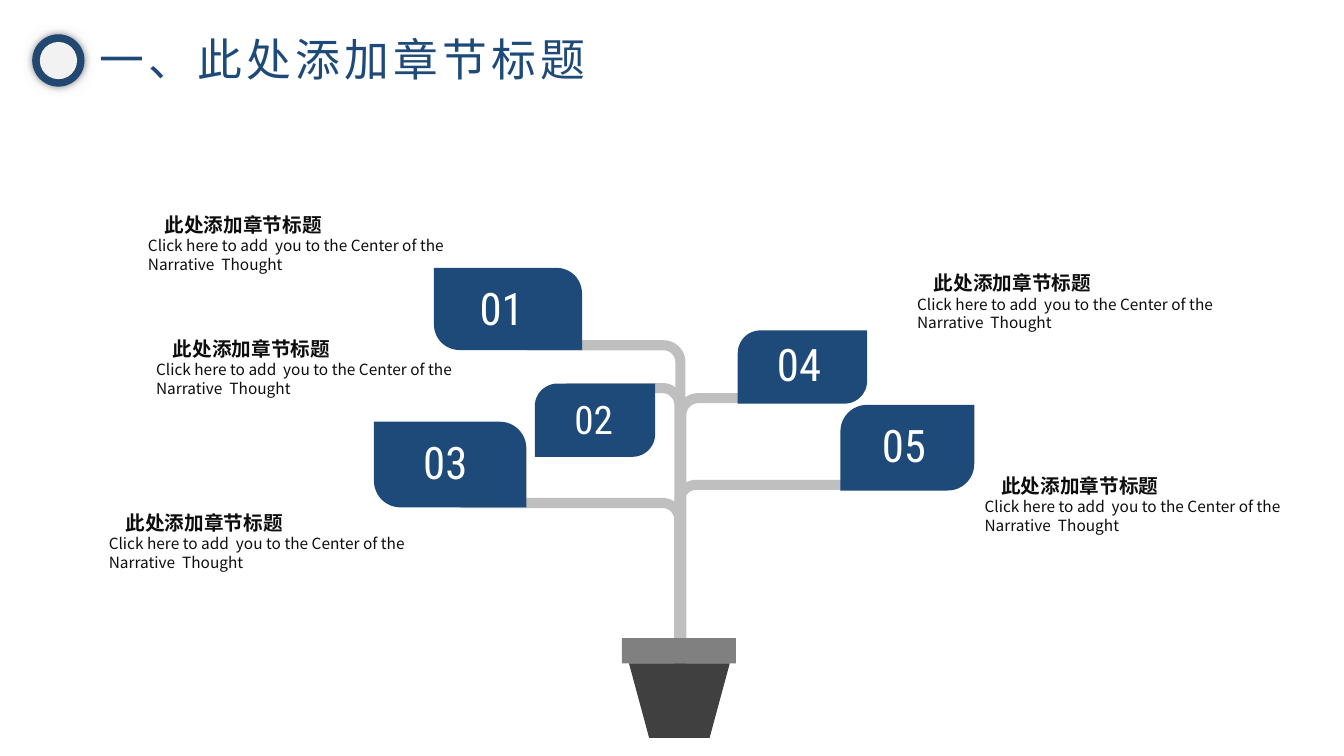
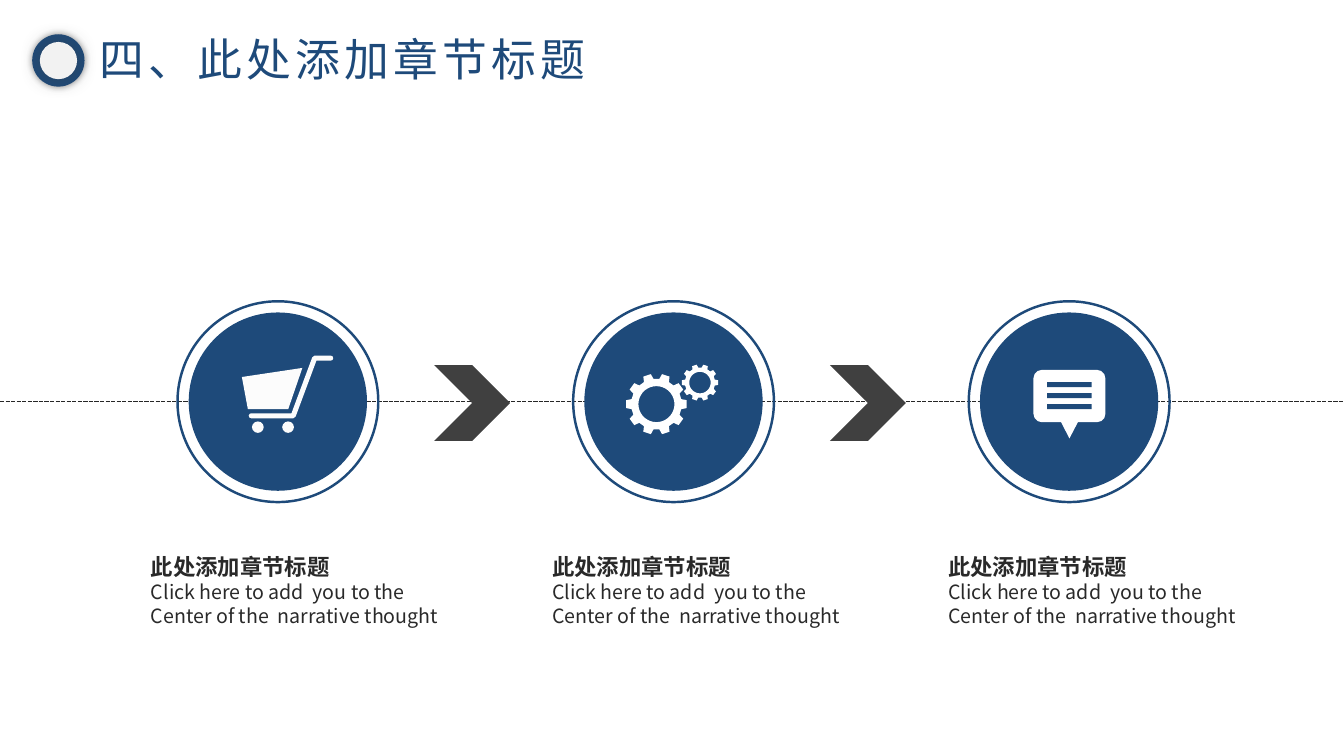
from math import cos, pi, radians, sin

from lxml import etree
from pptx import Presentation
from pptx.dml.color import RGBColor
from pptx.enum.dml import MSO_LINE
from pptx.enum.shapes import MSO_CONNECTOR, MSO_SHAPE
from pptx.oxml.ns import qn
from pptx.util import Pt

OVAL, RECT = MSO_SHAPE.OVAL, MSO_SHAPE.RECTANGLE
ROUNDED, CHEVRON = MSO_SHAPE.ROUNDED_RECTANGLE, MSO_SHAPE.CHEVRON
LEAF = MSO_SHAPE.ROUND_2_DIAG_RECTANGLE
DASH, STRAIGHT = MSO_LINE.SQUARE_DOT, MSO_CONNECTOR.STRAIGHT

COLORS = {
    "navy": "1E4A7A", "white": "FFFFFF", "pale": "F2F2F2", "icon": "FCFCFC",
    "branch": "BFBFBF", "rim": "808080", "dark": "404040", "axis": "262626",
    "label": "0D0D0D", "caption": "292929", "black": "000000",
}
CJK, CONDENSED = "Noto Sans CJK SC", "Roboto Condensed"
HEADING = "此处添加章节标题"


def rgb(color):
    return RGBColor.from_string(COLORS[color])


class Deck:
    def __init__(self):
        self.prs = Presentation()
        self.prs.slide_width, self.prs.slide_height = Pt(960), Pt(540)
        self.slide = None

    def new_slide(self, title):
        self.slide = self.prs.slides.add_slide(self.prs.slide_layouts[6])
        self.glow(self.shape(OVAL, 23, 24.5, 37.4, 37.4, "navy"), "black", 40, 5)
        self.glow(self.shape(OVAL, 28.5, 30, 26.6, 26.6, "pale"), "dark", 50, 15)
        box = self.text(66.2, 19.4, 393, 44, [(title, 32, False)], "navy", inset=(5, 3))
        box.paragraphs[0].runs[0].font._element.set("spc", "300")

    def paint(self, shape, fill=None, line=None, width=1):
        shape.shadow.inherit = False
        if fill:
            shape.fill.solid()
            shape.fill.fore_color.rgb = rgb(fill)
        else:
            shape.fill.background()
        if line:
            shape.line.color.rgb = rgb(line)
            shape.line.width = Pt(width)
        else:
            shape.line.fill.background()
        return shape

    def shape(self, kind, x, y, w, h, fill=None, line=None, width=1):
        added = self.slide.shapes.add_shape(kind, Pt(x), Pt(y), Pt(w), Pt(h))
        return self.paint(added, fill, line, width)

    def glow(self, shape, color, opacity, blur):
        """Give the shape a soft shadow without offset."""
        effects = shape._element.spPr.find(qn("a:effectLst"))
        shadow = etree.SubElement(effects, qn("a:outerShdw"), blurRad=str(Pt(blur)))
        tint = etree.SubElement(shadow, qn("a:srgbClr"), val=COLORS[color])
        etree.SubElement(tint, qn("a:alpha"), val=str(opacity * 1000))

    def outline(self, contours, closed=True):
        builder = None
        for contour in contours:
            points = [(Pt(x), Pt(y)) for x, y in contour]
            if builder is None:
                builder = self.slide.shapes.build_freeform(*points[0])
            else:
                builder.move_to(*points[0])
            builder.add_line_segments(points[1:], close=closed)
        return builder.convert_to_shape()

    def area(self, fill, *contours):
        return self.paint(self.outline(contours), fill)

    def stroke(self, color, width, points, cap="flat"):
        path = self.paint(self.outline([points], closed=False), None, color, width)
        ln = path.line._get_or_add_ln()
        ln.set("cap", cap)
        etree.SubElement(ln, qn("a:round"))

    def dashed_line(self, x1, x2, y, color):
        line = self.slide.shapes.add_connector(STRAIGHT, Pt(x1), Pt(y), Pt(x2), Pt(y))
        line.line.color.rgb = rgb(color)
        line.line.width = Pt(1)
        line.line.dash_style = DASH
        etree.SubElement(line._element.spPr, qn("a:effectLst"))

    def text(self, x, y, w, h, lines, color, face=CJK, inset=(7.2, 3.6)):
        """Add a text box; each line is (text, size, bold)."""
        frame = self.slide.shapes.add_textbox(Pt(x), Pt(y), Pt(w), Pt(h)).text_frame
        frame.word_wrap = True
        frame.margin_left = frame.margin_right = Pt(inset[0])
        frame.margin_top = frame.margin_bottom = Pt(inset[1])
        for i, (words, size, bold) in enumerate(lines):
            paragraph = frame.add_paragraph() if i else frame.paragraphs[0]
            run = paragraph.add_run()
            run.text = words
            font = paragraph.font
            font.name, font.size, font.bold = face, Pt(size), bold
            font.color.rgb = rgb(color)
            etree.SubElement(font._element, qn("a:ea"), typeface=face)
        return frame

    def branch(self, tip_x, y, stem_x, foot=515, radius=12, width=7.2):
        """Draw a twig from its tip, round the bend and down the stem."""
        side = 1 if tip_x > stem_x else -1
        bend = [(stem_x + side * radius * (1 - sin(radians(a))),
                 y + radius * (1 - cos(radians(a)))) for a in range(0, 91, 10)]
        self.stroke("branch", width, [(tip_x, y), *bend, (stem_x, foot)])

    def leaf(self, x, y, w, h, leans_left):
        leaf = self.shape(LEAF, x, y, w, h, "navy")
        leaf.adjustments[0], leaf.adjustments[1] = (0, 0.31) if leans_left else (0.31, 0)

    def gear(self, cx, cy, radius, teeth=10):
        def ring(steps):
            return [(cx + r * cos(a), cy + r * sin(a)) for r, a in steps]

        tooth = [(0.83, -0.2), (1, -0.13), (1, 0.13), (0.83, 0.2)]
        rim = [(radius * r, 2 * pi * k / teeth + a) for k in range(teeth) for r, a in tooth]
        hole = [(radius * 0.59, -radians(a)) for a in range(0, 360, 10)]
        self.area("white", ring(rim), ring(hole))


def tree_slide(deck):
    deck.new_slide("一、此处添加章节标题")
    for twig in [(599, 284.4, 486.7), (618.5, 346.3, 485.3), (376, 246.6, 486),
                 (404.6, 277.2, 485.3), (329, 359.3, 485.3)]:
        deck.branch(*twig)
    deck.shape(RECT, 444.3, 455.8, 81.4, 18, "rim")
    deck.area("dark", [(449.3, 473.8), (521.3, 473.8), (506.9, 527), (463.7, 527)])

    # leaf box, leans left, number position and size, label position
    leaves = [
        ((310, 191.3, 105.8, 58.7), True, (335.5, 197.3, 32), (98.6, 148.3)),
        ((382, 274, 86, 52.3), False, (403.2, 278.6, 28), (104.4, 236.9)),
        ((267.1, 301.2, 108.9, 61.2), True, (295.2, 306.7, 32), (70.6, 361.4)),
        ((527, 236, 92.4, 52.3), False, (547.9, 236.9, 32), (648, 190.1)),
        ((600.3, 289.2, 95.6, 61.2), False, (622.8, 294.5, 32), (696.2, 334.8)),
    ]
    for number, (box, leans_left, (x, y, size), label) in enumerate(leaves, 1):
        deck.leaf(*box, leans_left)
        deck.text(x, y, 60, 45, [(f"{number:02}", size, False)], "white", CONDENSED)
        frame = deck.text(*label, 240, 70, [
            (HEADING, 14, True),
            ("Click here to add  you to the Center of the", 11, False),
            ("Narrative  Thought", 11, False)], "label")
        frame.paragraphs[0]._p.get_or_add_pPr().set("marL", str(Pt(12)))


def cart(deck):
    deck.area("icon", [(216, 262.8), (172.8, 269.3), (177.1, 292.3), (205.9, 292.3)])
    deck.stroke("icon", 3.6, [(236.3, 255.8), (224.8, 255.8), (209.5, 297), (179.5, 297)], "rnd")
    for x in (180, 201.6):
        deck.shape(OVAL, x, 301, 8.4, 8.2, "icon")


def gears(deck):
    deck.gear(468.9, 288.7, 21.8)
    deck.gear(500, 273.3, 13)


def speech_bubble(deck):
    deck.area("white", [(756.9, 299.5), (771, 299.5), (763.9, 313.2)])
    bubble = deck.shape(ROUNDED, 738.2, 264.2, 51.4, 37.4, "white")
    bubble.adjustments[0] = 0.16
    for row in range(3):
        deck.shape(RECT, 748, 272.9 + 7.9 * row, 31.8, 3.6, "navy")


def process_slide(deck):
    deck.new_slide("四、此处添加章节标题")
    deck.dashed_line(0, 960, 286.8, "axis")
    steps = [(cart, 100.8), (gears, 387.4), (speech_bubble, 670.3)]
    pitch = 282.6
    for i, (icon, caption_x) in enumerate(steps):
        x = 126.8 + pitch * i
        deck.shape(OVAL, x, 215.2, 143.4, 143.4, line="navy", width=1.75)
        deck.shape(OVAL, x + 8, 223.2, 127.4, 127.4, "navy")
        if i < len(steps) - 1:
            deck.shape(CHEVRON, 310.2 + pitch * i, 260.8, 54.2, 54.2, "dark")
        icon(deck)
        deck.text(caption_x, 391.6, 230, 80, [
            (HEADING, 16, True),
            ("Click here to add  you to the", 14, False),
            ("Center of the  narrative thought", 14, False)], "caption")


def main():
    deck = Deck()
    tree_slide(deck)
    process_slide(deck)
    deck.prs.save("out.pptx")


if __name__ == "__main__":
    main()
